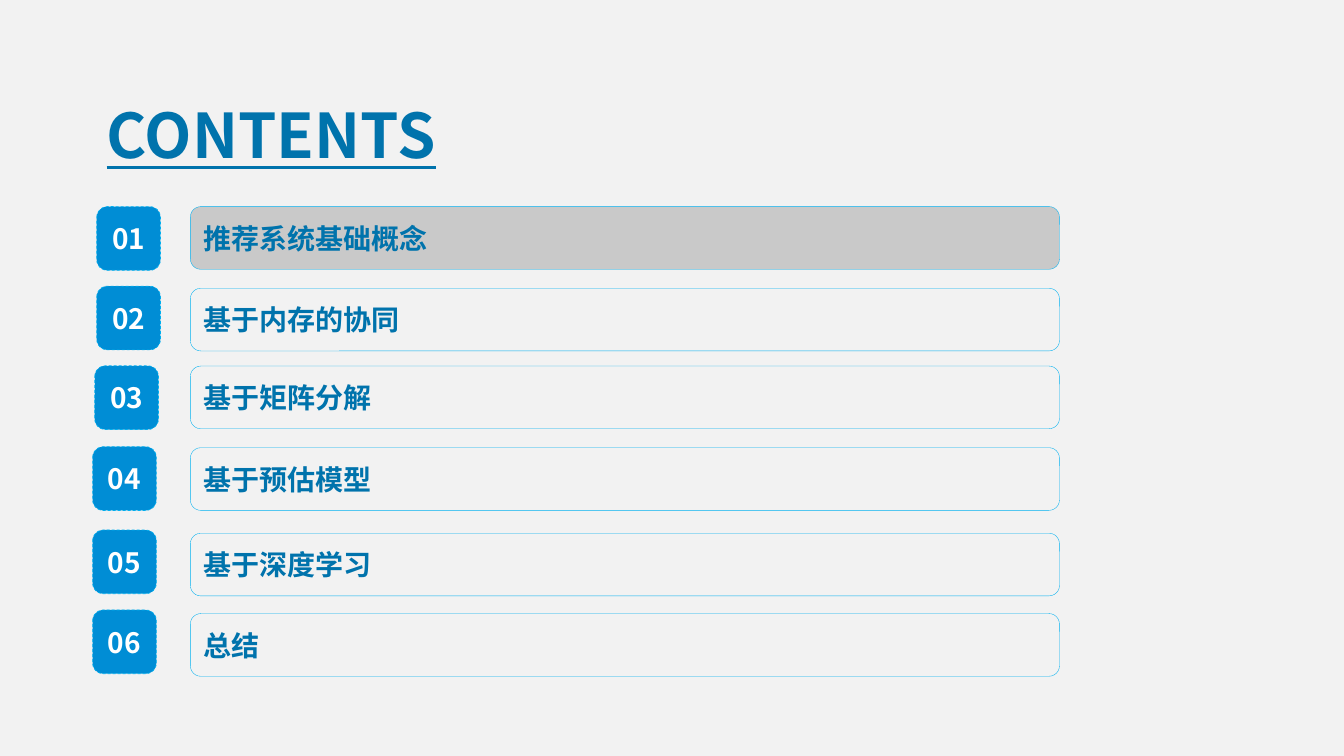
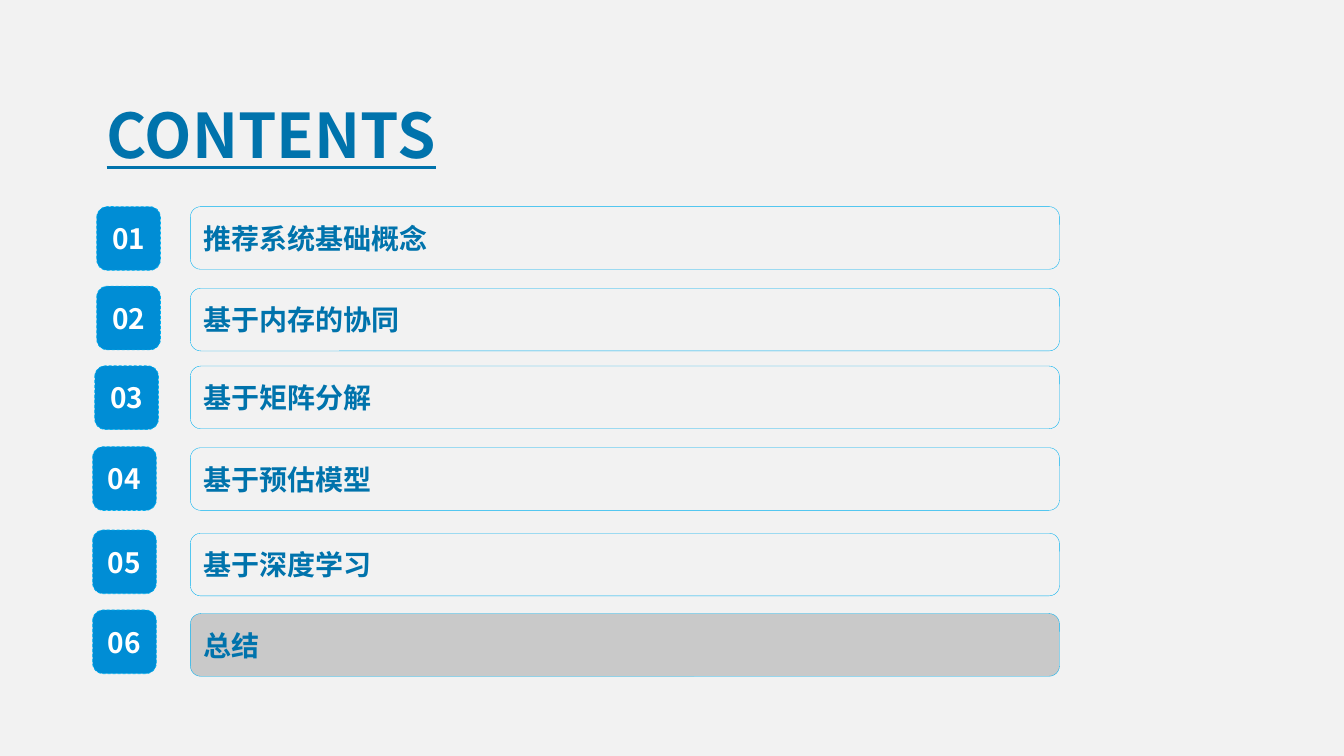
from lxml import etree
from pptx import Presentation
from pptx.dml.color import RGBColor as RGB
from pptx.enum.dml import MSO_LINE_DASH_STYLE as DASH
from pptx.enum.shapes import MSO_SHAPE as SHAPE
from pptx.enum.text import MSO_ANCHOR as ANCHOR, MSO_AUTO_SIZE as AUTO, PP_ALIGN as ALIGN
from pptx.oxml.ns import qn
from pptx.util import Pt

# Content: text, badge left, badge top, bar top
TITLE = "CONTENTS"
ITEMS = [
    ("推荐系统基础概念", 69.1, 147.6, 147.6),
    ("基于内存的协同", 69.1, 204.4, 205.9),
    ("基于矩阵分解", 67.7, 261.3, 261.5),
    ("基于预估模型", 66.2, 319.1, 319.8),
    ("基于深度学习", 66.2, 378.6, 380.9),
    ("总结", 66.2, 435.7, 438.3),
]
ACTIVE = [1, 6]  # the marked item on each slide

# Shared style
FONT = "Noto Sans CJK SC"
COLORS = {"back": "F2F2F2", "badge": "008DD5", "edge": "00B0F0",
          "mark": "C9C9C9", "text": "0073AC", "white": "FFFFFF"}
BADGE = 45.5
BAR_X, BAR_W, BAR_H = 136, 620.8, 44.8


def color(name):
    return RGB.from_string(COLORS[name])


def write(shape, text, size=20, ink="text", align=ALIGN.LEFT,
          anchor=ANCHOR.MIDDLE, under=False):
    frame = shape.text_frame
    frame.word_wrap = True
    frame.vertical_anchor = anchor
    para = frame.paragraphs[0]
    para.alignment = align
    run = para.add_run()
    run.text = text
    font = run.font
    font.size, font.bold = Pt(size), True
    if under:
        font.underline = True
    font.color.rgb = color(ink)
    font.name = FONT
    # East Asian glyphs take their font from a separate element
    etree.SubElement(font._element, qn("a:ea")).set("typeface", FONT)


def box(slide, x, y, w, h, fill=None, width=0.25, dash=None):
    shape = slide.shapes.add_shape(SHAPE.ROUNDED_RECTANGLE,
                                   Pt(x), Pt(y), Pt(w), Pt(h))
    shape.shadow.inherit = False
    if fill:
        shape.fill.solid()
        shape.fill.fore_color.rgb = color(fill)
    else:
        shape.fill.background()
    shape.line.color.rgb = color("edge")
    shape.line.width = Pt(width)
    if dash:
        shape.line.dash_style = dash
    return shape


def agenda(deck, active):
    slide = deck.slides.add_slide(deck.slide_layouts[6])
    # Numbered rows
    for num, (text, left, top, bar_top) in enumerate(ITEMS, 1):
        badge = box(slide, left, top, BADGE, BADGE, fill="badge",
                    width=0.5, dash=DASH.DASH)
        write(badge, f"{num:02}", ink="white", align=ALIGN.CENTER)
        bar = box(slide, BAR_X, bar_top, BAR_W, BAR_H,
                  fill="mark" if num == active else None)
        write(bar, text)
    # Title
    head = slide.shapes.add_textbox(Pt(69.1), Pt(65.5), Pt(468.7), Pt(60.5))
    write(head, TITLE, size=44, anchor=ANCHOR.TOP, under=True)
    head.text_frame.auto_size = AUTO.SHAPE_TO_FIT_TEXT


def main():
    deck = Presentation()
    deck.slide_width, deck.slide_height = Pt(960), Pt(540)
    back = deck.slide_master.background.fill
    back.solid()
    back.fore_color.rgb = color("back")
    for active in ACTIVE:
        agenda(deck, active)
    deck.save("out.pptx")


if __name__ == "__main__":
    main()
